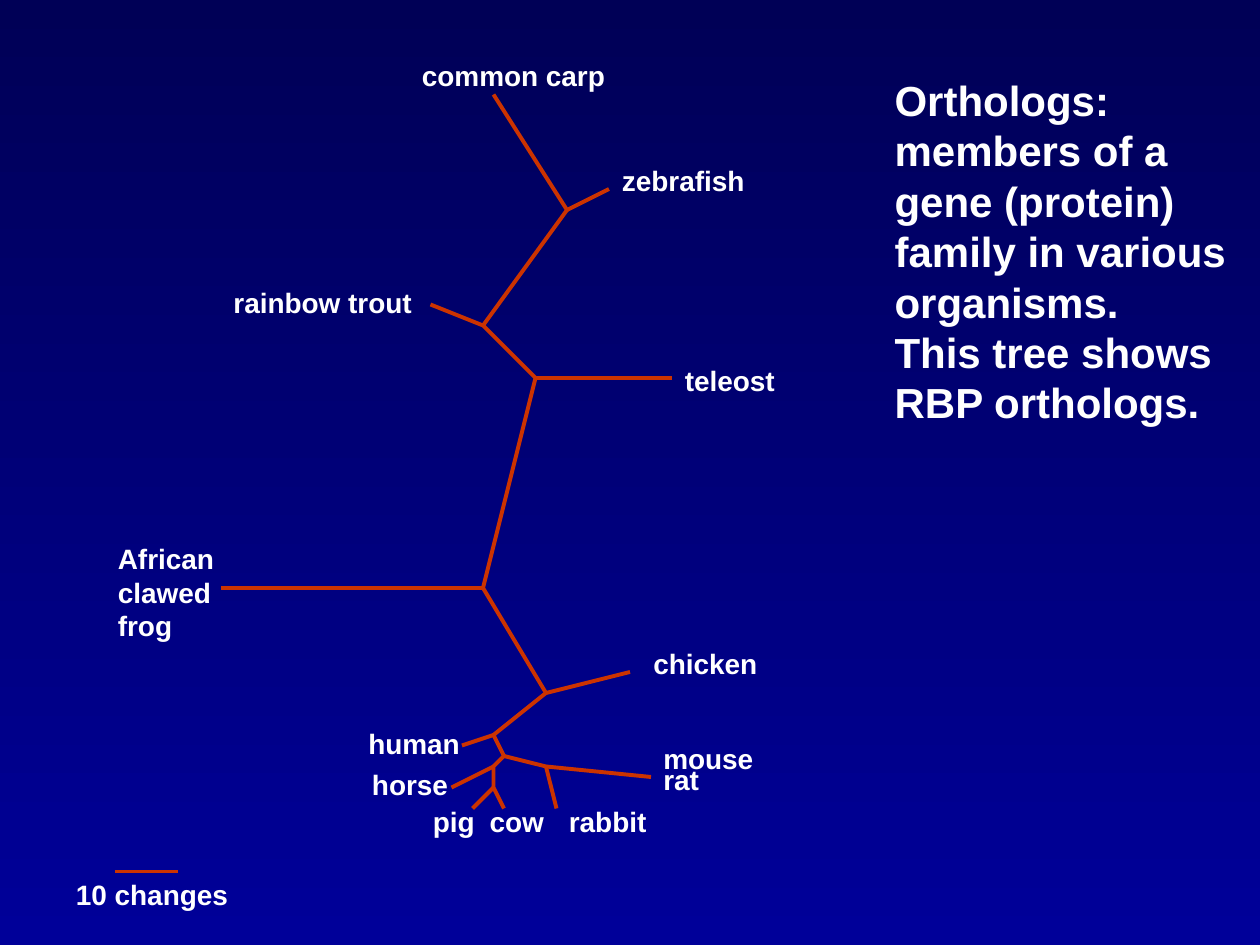
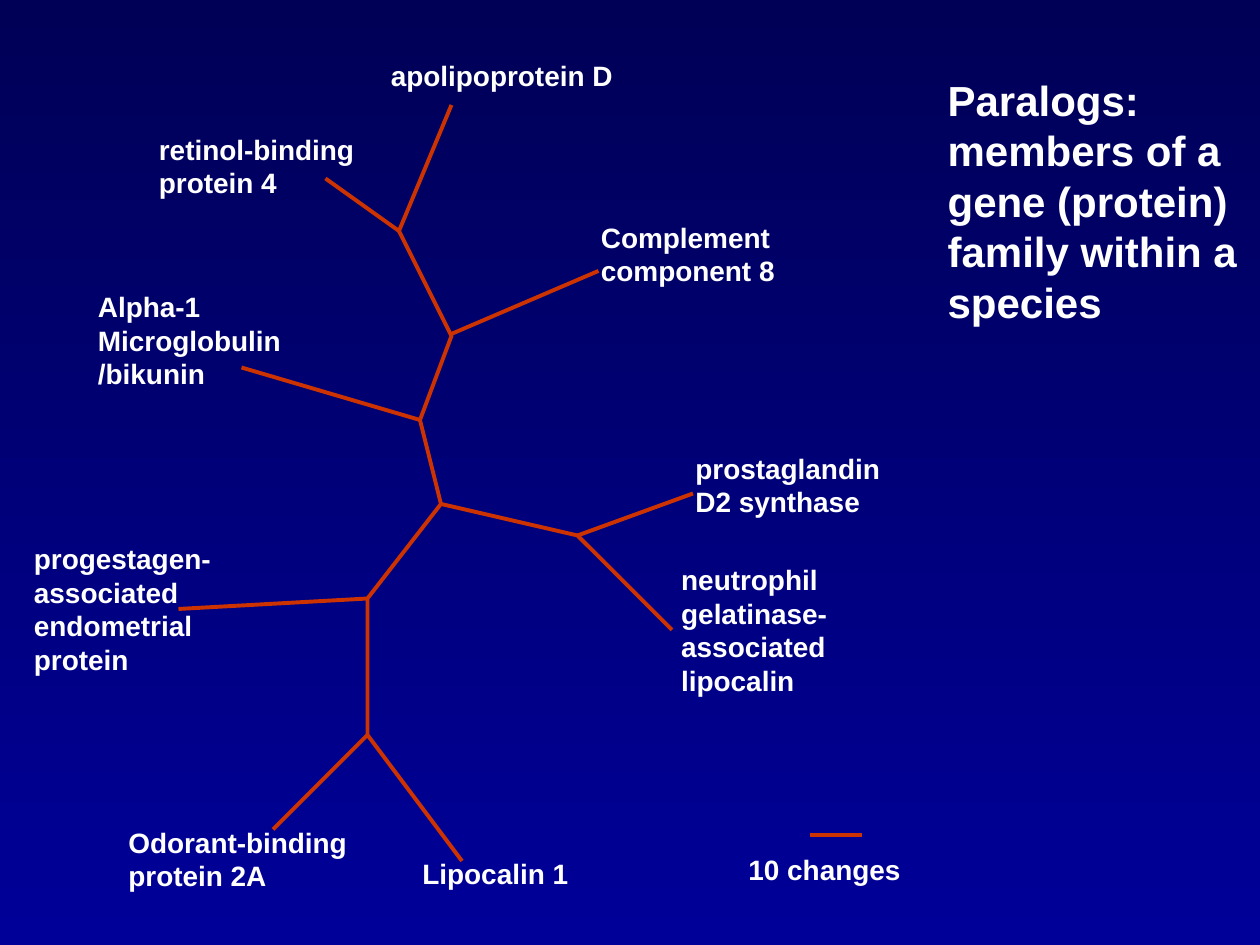
import pptx
import pptx.util
import pptx.dml.color
import pptx.enum.shapes
import pptx.enum.text
import pptx.oxml
import pptx.oxml.ns

# Shared grid and style: 120 columns by 90 rows over the slide
COLUMNS, ROWS = 120, 90
CELL = pptx.util.Inches(10) // COLUMNS
BACKGROUND = ("000056", "000099")
BRANCH_COLOUR = "CC3300"
BRANCH_WIDTH = 2.25
TEXT_COLOUR = "FFFFFF"
FONT = "Arial"
HEADING_SIZE, LABEL_SIZE = 24, 16
HEADING_ROW = 6.5
SCALE_TEXT = "10 changes"

ORTHOLOGS = {
    # column, width, lines of the heading
    "heading": (84, 35, "Orthologs:\nmembers of a\ngene (protein)\nfamily in various\n"
                        "organisms.\nThis tree shows\nRBP orthologs."),
    # bent lines as (column, row) points
    "trunks": [[(47, 9), (54, 20), (46, 31), (51, 36), (46, 56), (52, 66),
                (47, 70), (48, 72), (47, 73), (47, 75), (48, 77)]],
    # straight lines as start and end points
    "branches": [
        ((54, 20), (58, 18)), ((46, 31), (41, 29)), ((51, 36), (64, 36)),
        ((46, 56), (21, 56)), ((52, 66), (60, 64)), ((47, 70), (44, 71)),
        ((48, 72), (52, 73)), ((52, 73), (53, 77)), ((52, 73), (62, 74)),
        ((47, 73), (43, 75)), ((47, 75), (45, 77)),
    ],
    # column, row, width, text
    "labels": [
        (39, 5, 21, "common carp"),
        (58.05, 15, 15, "zebrafish"),
        (21.05, 26.6, 20.5, "rainbow trout"),
        (64.05, 34, 12, "teleost"),
        (10.05, 51, 13.5, "African\nclawed\nfrog"),
        (61.05, 61, 13.5, "chicken"),
        (62, 70, 12, "mouse"),
        (62, 72, 7, "rat"),
        (53, 76, 11, "rabbit"),
        (45.45, 76, 9, "cow"),
        (40.05, 76, 7.5, "pig"),
        (34.25, 72.5, 11, "horse"),
        (33.9, 68.6, 12, "human"),
        (6.05, 83, 18, SCALE_TEXT),
    ],
    "scale": ((11, 83), (17, 83)),
}

PARALOGS = {
    "heading": (89.05, 30.9, "Paralogs:\nmembers of a\ngene (protein)\n"
                             "family within a\nspecies"),
    "trunks": [
        [(43, 10), (38, 22), (43, 32), (40, 40), (42, 48), (35, 57), (35, 70), (44, 82)],
        [(42, 48), (55, 51), (64, 60)],
    ],
    "branches": [
        ((55, 51), (66, 47)), ((35, 70), (26, 79)), ((35, 57), (17, 58)),
        ((40, 40), (23, 35)), ((43, 31.8), (57, 25.8)), ((38, 22), (31, 17)),
    ],
    "labels": [
        (36.05, 5, 24.5, "apolipoprotein D"),
        (13.95, 12, 22, "retinol-binding\nprotein 4"),
        (56.05, 20.4, 20, "Complement\ncomponent 8"),
        (65.05, 42.4, 21, "prostaglandin\nD2 synthase"),
        (63.7, 53, 17.5, "neutrophil\ngelatinase-\nassociated\nlipocalin"),
        (70.1, 80.6, 18, SCALE_TEXT),
        (39.05, 81, 17.5, "Lipocalin 1"),
        (11.05, 78, 24.5, "Odorant-binding\nprotein 2A"),
        (2.05, 51, 20.5, "progestagen-\nassociated\nendometrial\nprotein"),
        (8.15, 27, 21, "Alpha-1\nMicroglobulin\n/bikunin"),
    ],
    "scale": ((77.1, 79.55), (82.1, 79.55)),
}


def colour(code):
    return pptx.dml.color.RGBColor.from_string(code)


def cells(count):
    return pptx.util.Emu(round(count * CELL))


def set_values(target, values):
    for name, value in values.items():
        setattr(target, name, value)


def paint_background(master):
    fill = master.background.fill
    fill.gradient()
    fill.gradient_angle = 270
    for stop, code in zip(fill.gradient_stops, BACKGROUND):
        stop.color.rgb = colour(code)


def style_line(line):
    line.color.rgb = colour(BRANCH_COLOUR)
    line.width = pptx.util.Pt(BRANCH_WIDTH)


def box_height(text, size):
    """Height of the lines at 1.2 times the text size, plus the insets."""
    lines = text.count("\n") + 1
    return pptx.util.Inches(lines * size / 60 + 0.1)


def write_lines(box, text, size):
    frame = box.text_frame
    set_values(frame, {
        "word_wrap": True,
        "auto_size": pptx.enum.text.MSO_AUTO_SIZE.NONE,
        "vertical_anchor": pptx.enum.text.MSO_ANCHOR.TOP,
    })
    for index, line in enumerate(text.split("\n")):
        para = frame.add_paragraph() if index else frame.paragraphs[0]
        para.alignment = pptx.enum.text.PP_ALIGN.LEFT
        span = para.add_run()
        span.text = line
        set_values(span.font, {"name": FONT, "size": pptx.util.Pt(size), "bold": True})
        span.font.color.rgb = colour(TEXT_COLOUR)


def add_heading(page, column, width, text):
    box = page.shapes.title
    set_values(box, {
        "left": cells(column), "top": cells(HEADING_ROW),
        "width": cells(width), "height": box_height(text, HEADING_SIZE),
    })
    write_lines(box, text, HEADING_SIZE)


def add_label(page, column, row, width, text):
    box = page.shapes.add_textbox(cells(column), cells(row), cells(width),
                                  box_height(text, LABEL_SIZE))
    write_lines(box, text, LABEL_SIZE)


def add_trunk(page, points):
    builder = page.shapes.build_freeform(*points[0], scale=CELL)
    builder.add_line_segments(points[1:], close=False)
    trunk = builder.convert_to_shape()
    trunk.shadow.inherit = False
    trunk.fill.background()
    style_line(trunk.line)


def add_branch(page, start, end):
    branch = page.shapes.add_connector(
        pptx.enum.shapes.MSO_CONNECTOR.STRAIGHT, *map(cells, start + end))
    style_line(branch.line)
    # An empty effect list removes the theme shadow
    branch._element.spPr.append(pptx.oxml.parse_xml(
        "<a:effectLst %s/>" % pptx.oxml.ns.nsdecls("a")))


def add_tree_slide(deck, tree):
    page = deck.slides.add_slide(deck.slide_layouts.get_by_name("Title Only"))
    add_heading(page, *tree["heading"])
    for points in tree["trunks"]:
        add_trunk(page, points)
    for start, end in tree["branches"] + [tree["scale"]]:
        add_branch(page, start, end)
    for label in tree["labels"]:
        add_label(page, *label)


def main():
    deck = pptx.Presentation()
    set_values(deck, {"slide_width": cells(COLUMNS), "slide_height": cells(ROWS)})
    paint_background(deck.slide_master)
    for tree in (ORTHOLOGS, PARALOGS):
        add_tree_slide(deck, tree)
    deck.save("out.pptx")


if __name__ == "__main__":
    main()
